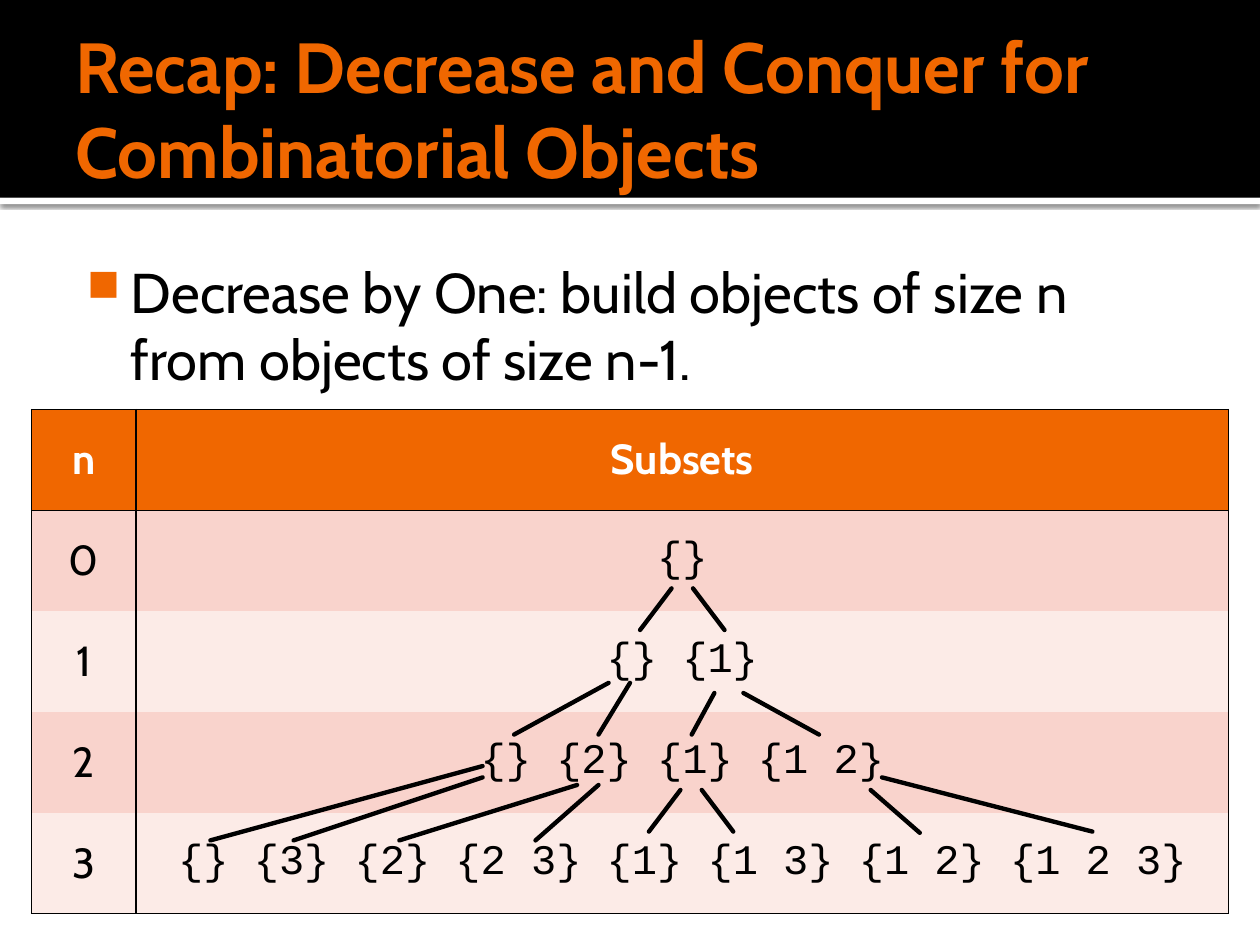
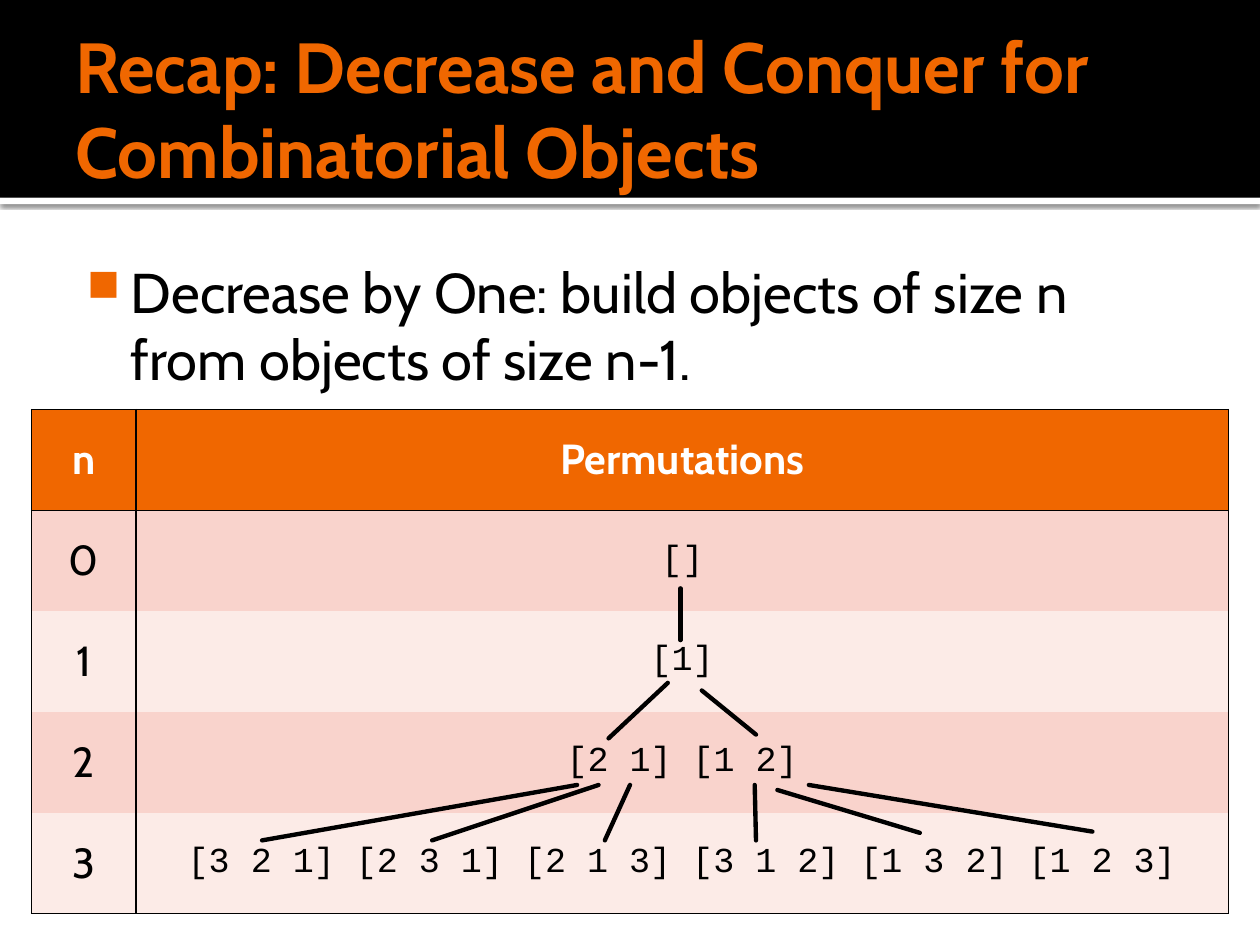
from pptx import Presentation
from pptx.dml.color import RGBColor
from pptx.enum.shapes import MSO_CONNECTOR, MSO_SHAPE
from pptx.enum.text import MSO_ANCHOR, PP_ALIGN
from pptx.oxml import parse_xml
from pptx.oxml.ns import nsdecls, qn
from pptx.util import Pt

PX = 9144  # EMU in one px, 100 px to the inch
W, H = 1000, 750
BLACK, WHITE, ORANGE = "000000", "FFFFFF", "F06700"
BANDS = ("F9D3CC", "FCEBE7")
SANS, MONO = "Cabin", "Courier New"
TITLE = "Recap: Decrease and Conquer for Combinatorial Objects"
RULE = "Decrease by One: build objects of size n from objects of size n-1."

HEADER_BOX = (0, 0, W, 157)
BODY_BOX = (50, 194, 900, 120)
TABLE_BOX = (25, 325, 950, 400)
N_COL = 83

# Branches run from (x, y) to (x, y), measured from the table's top left corner.
SUBSETS = {
    "heading": "Subsets",
    "size": 24,
    "levels": ["{}", "{} {1}", "{} {2} {1} {1 2}",
               "{} {3} {2} {2 3} {1} {1 3} {1 2} {1 2 3}"],
    "branches": [
        (508, 142, 483, 175), (525, 142, 550, 175),
        (458, 217, 383, 258), (475, 217, 450, 258),
        (542, 225, 524, 258), (565, 225, 625, 258),
        (358, 283, 142, 342), (358, 292, 208, 342),
        (433, 298, 292, 342), (450, 298, 400, 342),
        (515, 302, 490, 335), (532, 302, 557, 335),
        (666, 302, 705, 336), (675, 292, 842, 335),
    ],
}
PERMUTATIONS = {
    "heading": "Permutations",
    "size": 20,
    "levels": ["[]", "[1]", "[2 1] [1 2]",
               "[3 2 1] [2 3 1] [2 1 3] [3 1 2] [1 3 2] [1 2 3]"],
    "branches": [
        (515, 142, 515, 183),
        (505, 217, 458, 261), (532, 223, 575, 258),
        (433, 298, 183, 342), (450, 298, 318, 342), (475, 298, 455, 342),
        (574, 298, 575, 342), (592, 302, 705, 336), (617, 298, 842, 335),
    ],
}


def rgb(color):
    return RGBColor.from_string(color)


def emu(*lengths):
    return [n * PX for n in lengths]


def set_attrs(obj, **values):
    for name, value in values.items():
        setattr(obj, name, value)


def write(p, text, size, color=BLACK, name=SANS, bold=False):
    r = p.add_run()
    r.text = text
    set_attrs(r.font, size=Pt(size), name=name, bold=bold)
    r.font.color.rgb = rgb(color)


def add_bar(slide, box, color):
    sp = slide.shapes.add_shape(MSO_SHAPE.RECTANGLE, *emu(*box))
    sp.shadow.inherit = False
    sp.fill.solid()
    sp.fill.fore_color.rgb = rgb(color)
    sp.line.fill.background()
    return sp


def add_text(slide, box, insets, anchor):
    """Return the first paragraph of a new wrapped text box."""
    tf = slide.shapes.add_textbox(*emu(*box)).text_frame
    left, top, right, bottom = emu(*insets)
    set_attrs(tf, word_wrap=True, vertical_anchor=anchor, margin_left=left,
              margin_top=top, margin_right=right, margin_bottom=bottom)
    return tf.paragraphs[0]


def add_header(slide, box):
    x, y, w, h = box
    strip = add_bar(slide, (x, y + h, w, 5), WHITE)
    effects = strip._element.spPr.find(qn("a:effectLst"))
    effects.append(parse_xml(
        f'<a:outerShdw {nsdecls("a")} blurRad="{Pt(2.5)}" dist="{Pt(0.8)}" '
        f'dir="5400000" rotWithShape="0"><a:srgbClr val="{BLACK}">'
        '<a:alpha val="60000"/></a:srgbClr></a:outerShdw>'))
    add_bar(slide, box, BLACK)
    p = add_text(slide, (x + 50, y + 17, w - 100, h - 20), (10, 5, 5, 5),
                 MSO_ANCHOR.MIDDLE)
    write(p, TITLE, 40.5, ORANGE, bold=True)


def add_bullet(slide, box):
    p = add_text(slide, box, (6, 10, 10, 5), MSO_ANCHOR.TOP)
    pPr = p._p.get_or_add_pPr()
    pPr.set("marL", str(48 * PX))
    pPr.set("indent", str(-35 * PX))
    for xml in (f'<a:buClr {nsdecls("a")}><a:srgbClr val="{ORANGE}"/></a:buClr>',
                f'<a:buSzPct {nsdecls("a")} val="80000"/>',
                f'<a:buChar {nsdecls("a")} char="■"/>'):
        pPr.append(parse_xml(xml))
    write(p, RULE, 32)


def set_borders(cell, sides):
    """Draw the named sides (of L, R, T, B) in black and hide the others."""
    tcPr = cell._tc.get_or_add_tcPr()
    for i, side in enumerate("LRTB"):
        fill = (f'<a:solidFill><a:srgbClr val="{BLACK}"/></a:solidFill>'
                if side in sides else "<a:noFill/>")
        tcPr.insert(i, parse_xml(
            f'<a:ln{side} {nsdecls("a")} w="{Pt(1)}">{fill}</a:ln{side}>'))


def add_levels(slide, box, heading, levels, size):
    rows = [("n", heading)] + [(str(n), text) for n, text in enumerate(levels)]
    table = slide.shapes.add_table(len(rows), 2, *emu(*box)).table
    table.horz_banding = False
    for col, width in zip(table.columns, emu(N_COL, box[2] - N_COL)):
        col.width = width
    for i, row in enumerate(rows):
        head = i == 0
        sides = "LR" + ("T" if i < 2 else "") + ("B" if head or i == len(levels) else "")
        for j, text in enumerate(row):
            cell = table.cell(i, j)
            cell.vertical_anchor = MSO_ANCHOR.MIDDLE
            cell.fill.solid()
            cell.fill.fore_color.rgb = rgb(ORANGE if head else BANDS[(i - 1) % 2])
            set_borders(cell, sides)
            p = cell.text_frame.paragraphs[0]
            p.alignment = PP_ALIGN.CENTER
            if head:
                write(p, text, 24, WHITE, bold=True)
            elif j == 0:
                write(p, text, 24)
            else:
                write(p, text, size, name=MONO)


def add_branches(slide, box, branches):
    x, y = box[:2]
    for x1, y1, x2, y2 in branches:
        line = slide.shapes.add_connector(
            MSO_CONNECTOR.STRAIGHT, *emu(x + x1, y + y1, x + x2, y + y2))
        line.line.width = Pt(2.5)
        line.line.color.rgb = rgb(BLACK)
        spPr = line._element.spPr
        spPr.find(qn("a:ln")).set("cap", "rnd")
        spPr.append(parse_xml(f'<a:effectLst {nsdecls("a")}/>'))


def add_recap_slide(prs, tree):
    slide = prs.slides.add_slide(prs.slide_layouts[6])
    add_header(slide, HEADER_BOX)
    add_bullet(slide, BODY_BOX)
    add_levels(slide, TABLE_BOX, tree["heading"], tree["levels"], tree["size"])
    add_branches(slide, TABLE_BOX, tree["branches"])


def main():
    prs = Presentation()
    prs.slide_width, prs.slide_height = emu(W, H)
    for tree in (SUBSETS, PERMUTATIONS):
        add_recap_slide(prs, tree)
    prs.save("out.pptx")


if __name__ == "__main__":
    main()
